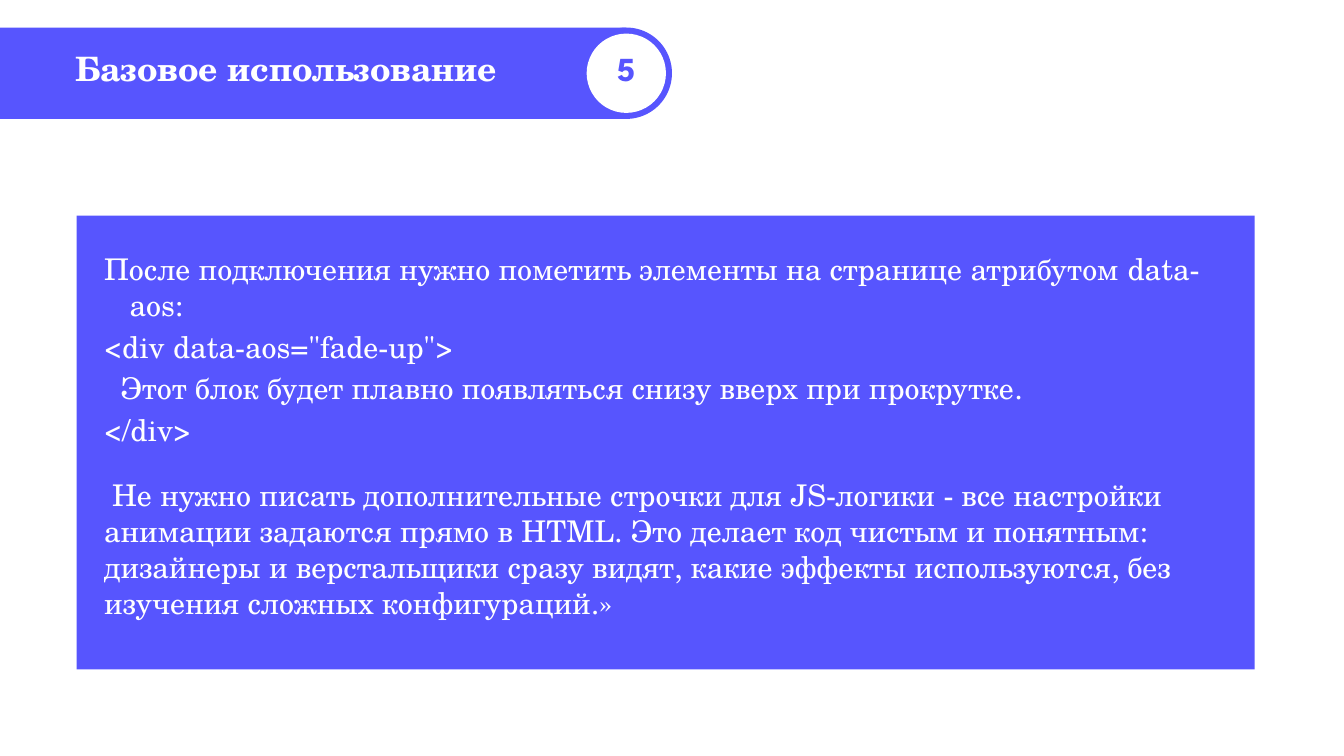
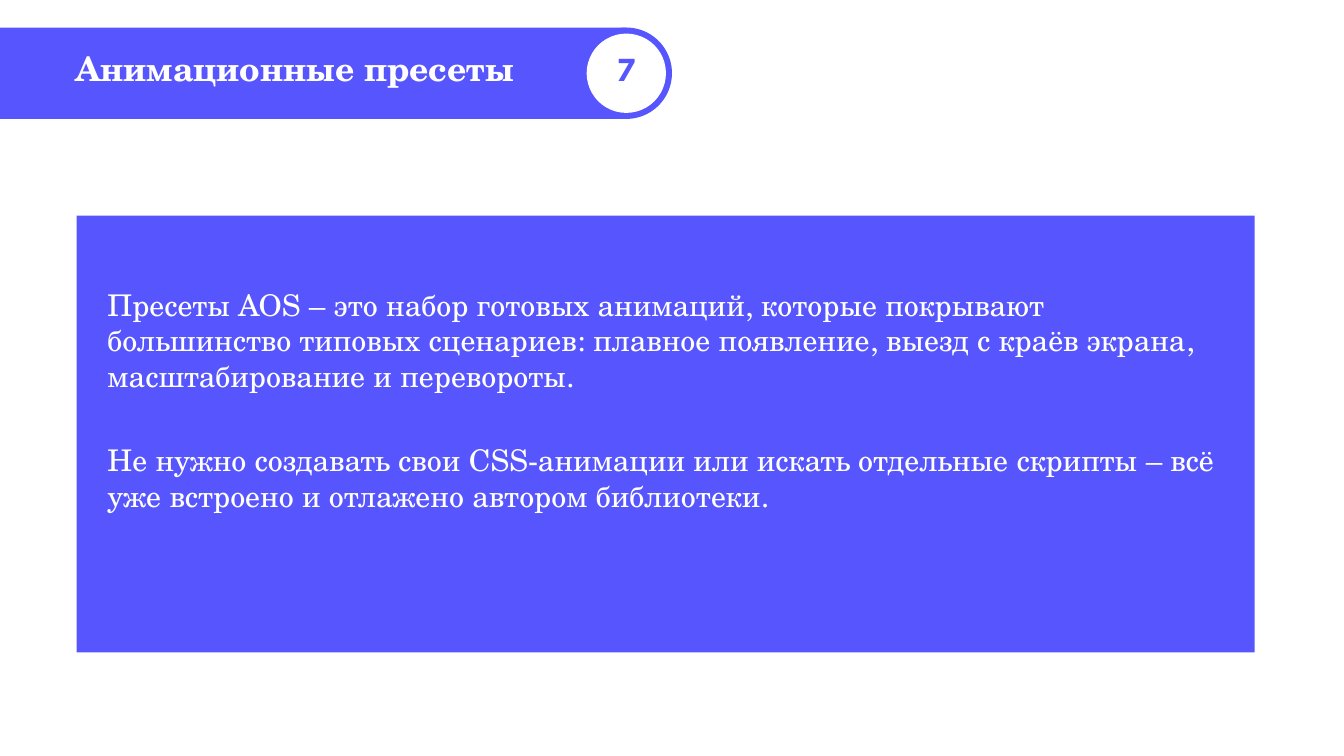
import pptx
import pptx.dml.color
import pptx.enum.shapes
import pptx.enum.text
import pptx.util
from pptx.util import Inches

VIOLET = pptx.dml.color.RGBColor(0x57, 0x55, 0xFE)
WHITE = pptx.dml.color.RGBColor(0xFF, 0xFF, 0xFF)
SERIF = "TeX Gyre Schola"
SANS = "League Spartan"
SHAPES = pptx.enum.shapes.MSO_SHAPE
ALIGN = pptx.enum.text.PP_ALIGN

BAND_TOP, BAND_HEIGHT = 0.41, 1.36
BADGE_X, BADGE_Y = 9.32, BAND_TOP + BAND_HEIGHT / 2
BADGE_SIZE = 1.18
PANEL_LEFT, PANEL_TOP, PANEL_WIDTH = 1.14, 3.21, 17.53


def write_text(frame, paragraphs, *, size=32, font=SERIF, color=WHITE, bold=False,
               align=ALIGN.LEFT, line_pitch=None, gap=0, margin=0, first_line=0):
    """Fill the frame; gap is points between paragraphs, margin and first_line are inches."""
    for index, content in enumerate(paragraphs):
        paragraph = frame.paragraphs[0] if index == 0 else frame.add_paragraph()
        properties = paragraph._p.get_or_add_pPr()
        properties.set("marL", str(Inches(margin)))
        properties.set("indent", str(Inches(first_line)))
        paragraph.alignment = align
        if line_pitch:
            paragraph.line_spacing = pptx.util.Pt(line_pitch)
        if index:
            paragraph.space_before = pptx.util.Pt(gap)
        run = paragraph.add_run()
        run.text = content
        run.font.size = pptx.util.Pt(size)
        run.font.name = font
        run.font.bold = bold
        run.font.color.rgb = color


class Deck:
    """Holds the presentation, its shared style and the slide being built."""

    def __init__(self):
        self.presentation = pptx.Presentation()
        self.presentation.slide_width = Inches(20)
        self.presentation.slide_height = Inches(11.25)
        self.slide = None

    def start_slide(self, title, number):
        self.slide = self.presentation.slides.add_slide(self.presentation.slide_layouts[6])
        self.block(SHAPES.RECTANGLE, 0, BAND_TOP, BADGE_X, BAND_HEIGHT, VIOLET)
        self.disc(BAND_HEIGHT, VIOLET)
        self.heading(title, 1.12, 7.33)
        self.disc(BADGE_SIZE, WHITE)
        self.heading(number, 9.02, 0.6, font=SANS, color=VIOLET, align=ALIGN.CENTER)

    def block(self, kind, left, top, width, height, color):
        shape = self.slide.shapes.add_shape(
            kind, Inches(left), Inches(top), Inches(width), Inches(height))
        shape.shadow.inherit = False
        shape.fill.solid()
        shape.fill.fore_color.rgb = color
        shape.line.fill.background()

    def disc(self, size, color):
        """Draw a circle centred on the number badge."""
        self.block(SHAPES.OVAL, BADGE_X - size / 2, BADGE_Y - size / 2, size, size, color)

    def panel(self, height):
        self.block(SHAPES.RECTANGLE, PANEL_LEFT, PANEL_TOP, PANEL_WIDTH, height, VIOLET)

    def text(self, paragraphs, left, top, width, height, inset=True, **style):
        box = self.slide.shapes.add_textbox(
            Inches(left), Inches(top), Inches(width), Inches(height))
        frame = box.text_frame
        frame.word_wrap = True
        if not inset:
            frame.margin_left = frame.margin_right = 0
            frame.margin_top = frame.margin_bottom = 0
        write_text(frame, paragraphs, **style)

    def heading(self, content, left, width, **style):
        self.text([content], left, 0.71, width, 0.6, inset=False,
                  size=36, bold=True, line_pitch=43.2, **style)


def build_basic_usage(deck):
    deck.start_slide("Базовое использование", "5")
    deck.panel(6.75)
    deck.text([
        "После подключения нужно пометить элементы на странице атрибутом data-aos:",
        '<div data-aos="fade-up">',
        "  Этот блок будет плавно появляться снизу вверх при прокрутке.",
        "</div>",
    ], 1.45, 3.68, 16.92, 4.19, gap=6.4, margin=0.38, first_line=-0.38)
    deck.text([
        "Не нужно писать дополнительные строчки для JS-логики - все настройки анимации "
        "задаются прямо в HTML. Это делает код чистым и понятным: дизайнеры и "
        "верстальщики сразу видят, какие эффекты используются, без изучения сложных "
        "конфигураций.»",
    ], 1.45, 7.05, 17.25, 2.26, first_line=0.12)


def build_presets(deck):
    deck.start_slide("Анимационные пресеты", "7")
    deck.panel(6.5)
    deck.text([
        "Пресеты AOS – это набор готовых анимаций, которые покрывают большинство типовых "
        "сценариев: плавное появление, выезд с краёв экрана, масштабирование и перевороты.",
        "Не нужно создавать свои CSS-анимации или искать отдельные скрипты – всё уже "
        "встроено и отлажено автором библиотеки.",
    ], 1.12, 4.21, 17.29, 5.92, gap=51, margin=0.38)


def main():
    deck = Deck()
    build_basic_usage(deck)
    build_presets(deck)
    deck.presentation.save("out.pptx")


if __name__ == "__main__":
    main()
